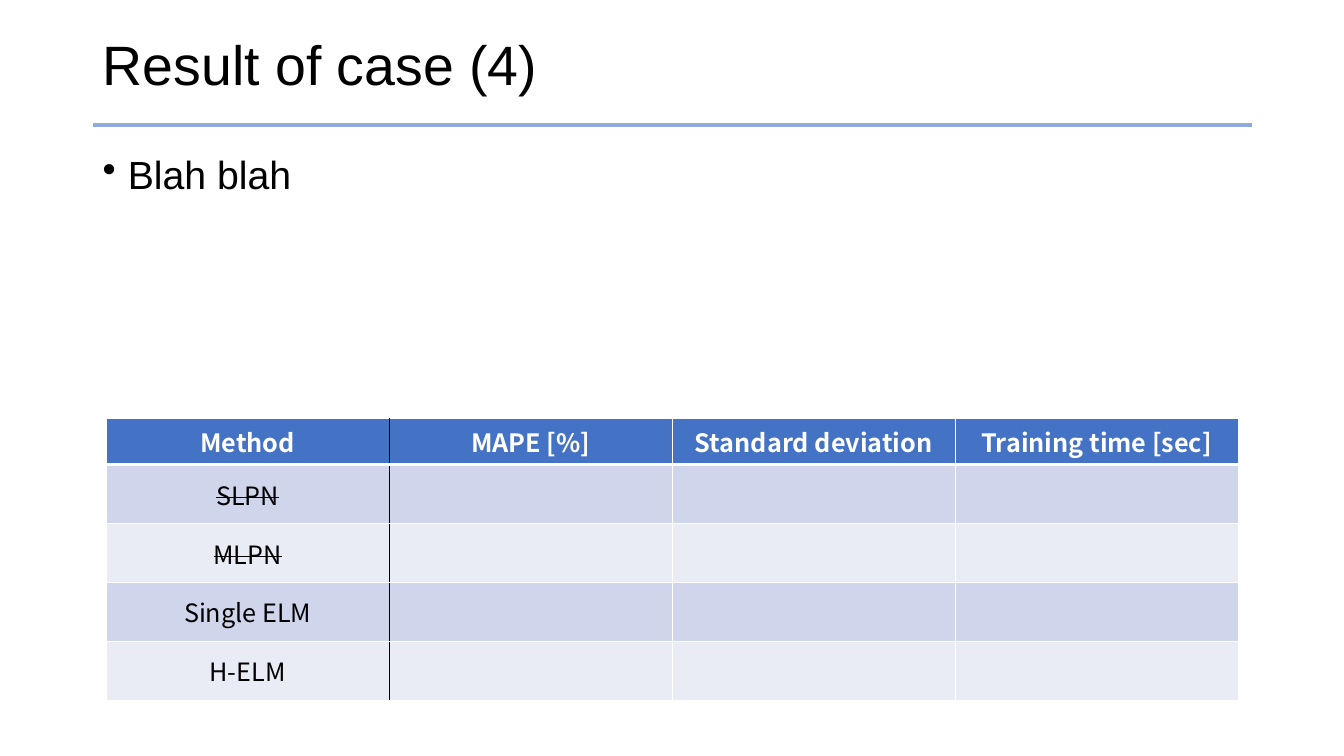
import pptx
import pptx.dml.color
import pptx.enum.shapes
import pptx.enum.text
import pptx.oxml
import pptx.oxml.ns
import pptx.util

RGBColor = pptx.dml.color.RGBColor
BLACK = RGBColor(0x00, 0x00, 0x00)
WHITE = RGBColor(0xFF, 0xFF, 0xFF)
RULE_BLUE = RGBColor(0x8F, 0xAA, 0xDC)
HEADER_BLUE = RGBColor(0x44, 0x72, 0xC4)
BANDS = (RGBColor(0xCF, 0xD5, 0xEA), RGBColor(0xE9, 0xEB, 0xF5))

TEXT_FONT = "Arial"
TABLE_FONT = "Noto Sans CJK KR"
LEFT, WIDTH = 6.9, 86.25  # shares of the slide width, in percent

HEADINGS = ("Method", "MAPE [%]", "Standard deviation", "Training time [sec]")
METHODS = ("SLPN", "MLPN", "Single ELM", "H-ELM")
DROPPED_METHODS = ("SLPN", "MLPN")


class ResultSlide:
    """One title-only slide; every length is a percentage of its size."""

    def __init__(self, presentation):
        self.slide_width = presentation.slide_width
        self.slide_height = presentation.slide_height
        self.slide = presentation.slides.add_slide(presentation.slide_layouts[5])

    def across(self, percent):
        return round(self.slide_width * percent / 100)

    def down(self, percent):
        return round(self.slide_height * percent / 100)

    def box(self, left, top, width, height):
        return self.across(left), self.down(top), self.across(width), self.down(height)

    def set_text(self, paragraph, text, font_name, size, color, bold=False):
        paragraph.text = text
        font = paragraph.font
        font.name, font.size, font.bold = font_name, pptx.util.Pt(size), bold
        font.color.rgb = color

    def title(self, text, top, height):
        shape = self.slide.shapes.title
        shape.left, shape.top, shape.width, shape.height = self.box(LEFT, top, WIDTH, height)
        frame = shape.text_frame
        frame.vertical_anchor = pptx.enum.text.MSO_ANCHOR.MIDDLE
        frame.auto_size = pptx.enum.text.MSO_AUTO_SIZE.NONE
        paragraph = frame.paragraphs[0]
        self.set_text(paragraph, text, TEXT_FONT, 39.6, BLACK)
        paragraph.alignment = pptx.enum.text.PP_ALIGN.LEFT
        paragraph.line_spacing = 0.9

    def rule(self, top):
        line = self.slide.shapes.add_connector(
            pptx.enum.shapes.MSO_CONNECTOR.STRAIGHT,
            self.across(LEFT), self.down(top), self.across(LEFT + WIDTH), self.down(top))
        line.line.color.rgb = RULE_BLUE
        line.line.width = pptx.util.Pt(3.16)
        properties = line._element.spPr
        properties.append(properties.makeelement(pptx.oxml.ns.qn("a:effectLst"), {}))

    def bullet(self, text, top, height):
        shape = self.slide.shapes.add_textbox(*self.box(LEFT, top, WIDTH, height))
        shape.text_frame.word_wrap = True
        paragraph = shape.text_frame.paragraphs[0]
        self.set_text(paragraph, text, TEXT_FONT, 28, BLACK)
        paragraph.line_spacing = 0.9
        paragraph.space_before = pptx.util.Pt(10)
        properties = paragraph._p.get_or_add_pPr()
        indent = pptx.util.Inches(0.25)
        properties.set("marL", str(indent))
        properties.set("indent", str(-indent))
        mark = properties.makeelement(pptx.oxml.ns.qn("a:buChar"), {"char": "•"})
        properties.insert_element_before(mark, "a:tabLst", "a:defRPr", "a:extLst")

    def border(self, cell, side, color, width):
        cell._tc.get_or_add_tcPr().append(pptx.oxml.parse_xml(
            f'<a:ln{side} {pptx.oxml.ns.nsdecls("a")} w="{pptx.util.Pt(width)}">'
            f'<a:solidFill><a:srgbClr val="{color}"/></a:solidFill></a:ln{side}>'))

    def cell(self, cell, row, column, text):
        # Black divider after the first column, thick line under the header
        self.border(cell, "L", BLACK if column == 1 else WHITE, 1)
        self.border(cell, "R", BLACK if column == 0 else WHITE, 1)
        self.border(cell, "T", WHITE, 3 if row == 1 else 1)
        self.border(cell, "B", WHITE, 3 if row == 0 else 1)
        header = row == 0
        cell.fill.solid()
        cell.fill.fore_color.rgb = HEADER_BLUE if header else BANDS[(row - 1) % 2]
        cell.vertical_anchor = pptx.enum.text.MSO_ANCHOR.MIDDLE
        if not text:
            return
        paragraph = cell.text_frame.paragraphs[0]
        self.set_text(paragraph, text, TABLE_FONT, 18, WHITE if header else BLACK, header)
        paragraph.alignment = pptx.enum.text.PP_ALIGN.CENTER
        if text in DROPPED_METHODS:
            paragraph.runs[0]._r.get_or_add_rPr().set("strike", "sngStrike")

    def table(self, rows, left, top, width, header_height, row_height):
        height = header_height + row_height * (len(rows) - 1)
        table = self.slide.shapes.add_table(
            len(rows), len(rows[0]), *self.box(left, top, width, height)).table
        for column in table.columns:
            column.width = self.across(width / len(rows[0]))
        for row, texts in enumerate(rows):
            table.rows[row].height = self.down(row_height if row else header_height)
            for column, text in enumerate(texts):
                self.cell(table.cell(row, column), row, column, text)


def main():
    presentation = pptx.Presentation()
    presentation.slide_width = pptx.util.Inches(13.33)
    presentation.slide_height = pptx.util.Inches(7.5)
    slide = ResultSlide(presentation)

    # Heading and its rule
    slide.title("Result of case (4)", top=4, height=10)
    slide.rule(top=16.53)

    # Body text
    slide.bullet("Blah blah", top=19.87, height=77.07)

    # Results, still to be filled in
    blanks = ("",) * (len(HEADINGS) - 1)
    rows = [HEADINGS] + [(method, *blanks) for method in METHODS]
    slide.table(rows, left=7.9, top=55.33, width=84.23, header_height=6.13, row_height=7.8)

    presentation.save("out.pptx")


if __name__ == "__main__":
    main()
